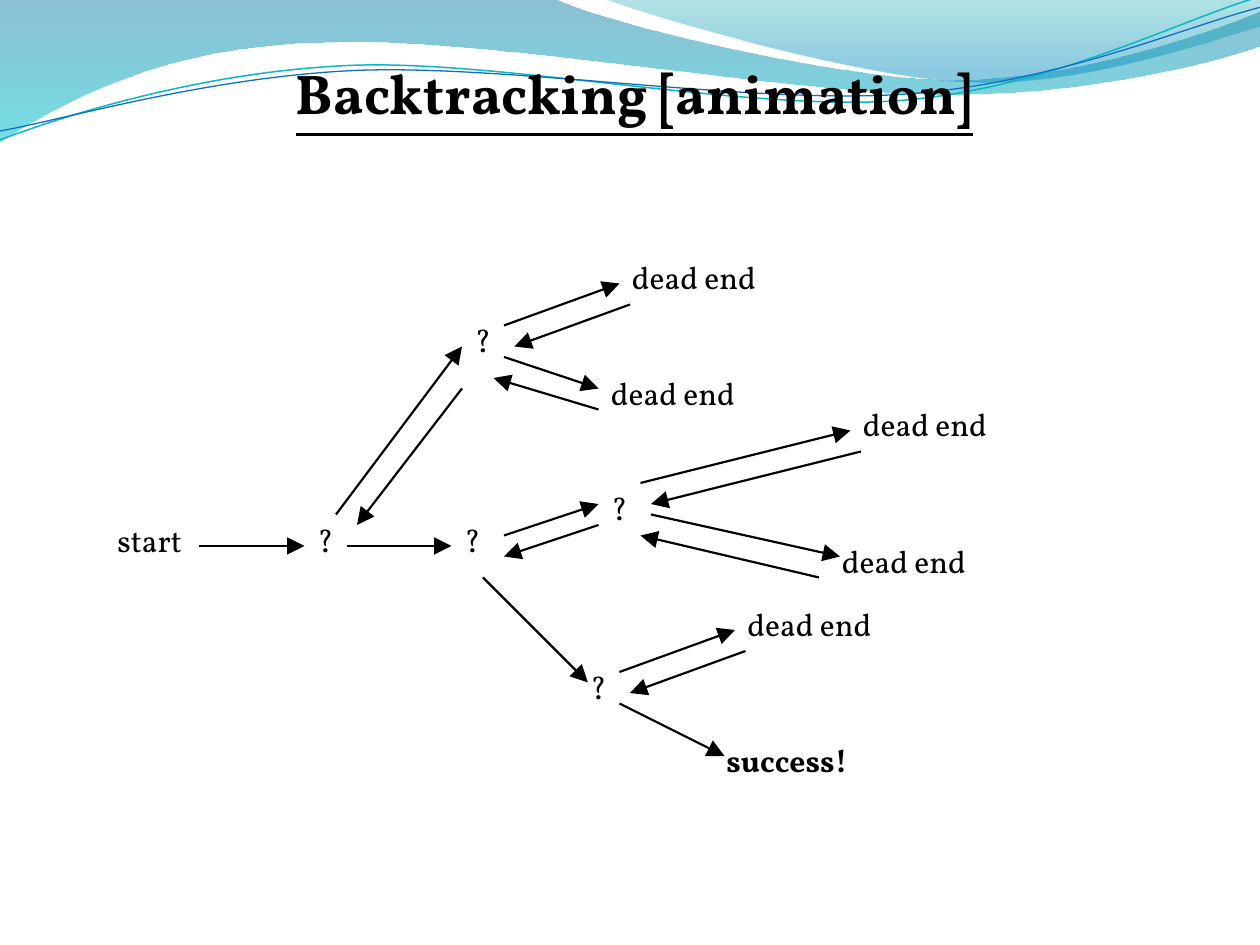
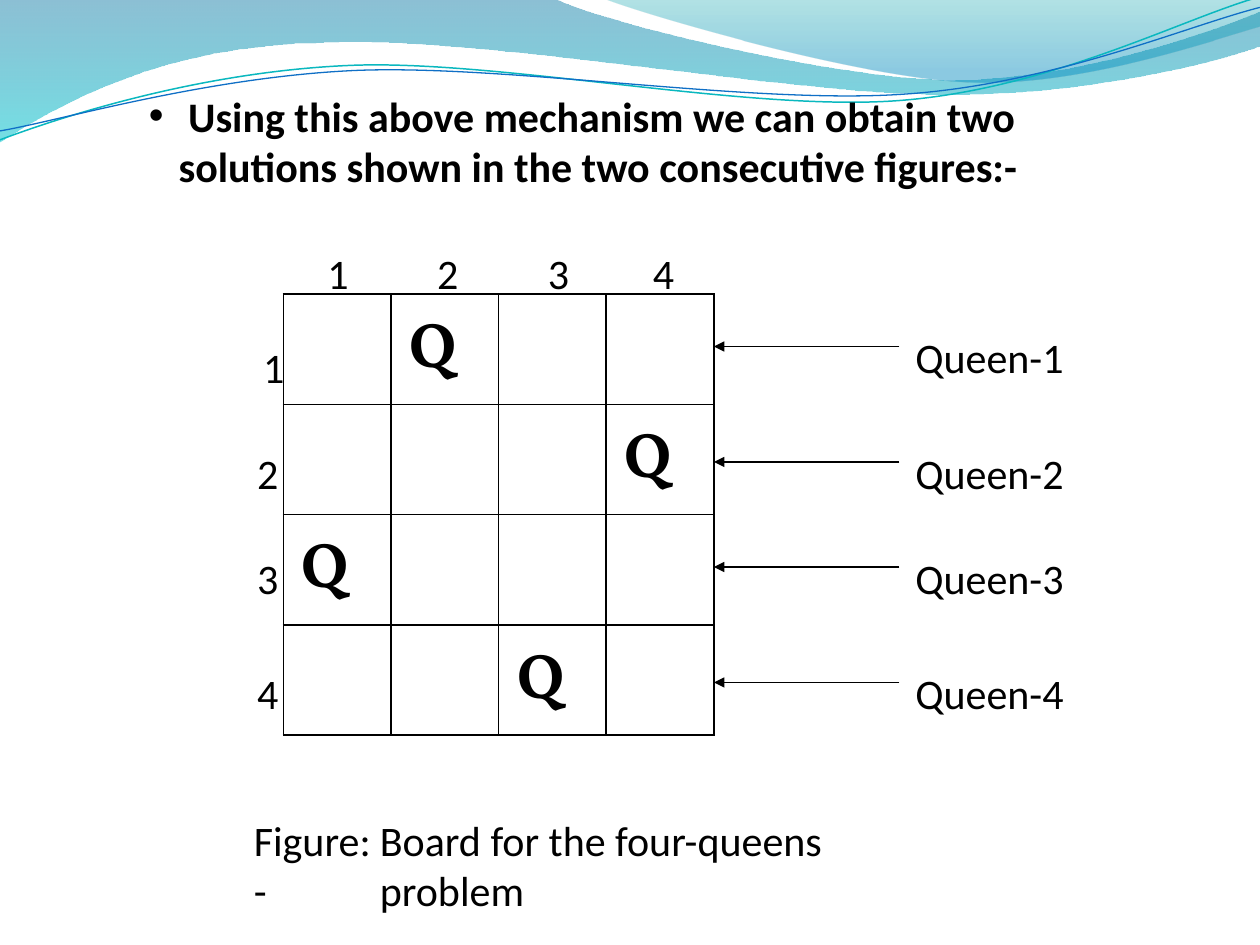
from lxml.etree import SubElement as Sub
from pptx import Presentation
from pptx.dml.color import RGBColor as Rgb
from pptx.enum.shapes import MSO_CONNECTOR as Link
from pptx.enum.text import MSO_AUTO_SIZE as Fit
from pptx.oxml.ns import qn
from pptx.util import Cm, Pt

HUES = {
    "ink": "000000", "deep": "0074A1", "aqua": "00C6CF", "sea": "00A1A9",
    "sky": "008BBF", "teal": "0AB8BF", "blue": "0F6FC6",
}
SERIF, SANS = "Vollkorn", "Calibri"
GRID = 2.54 / 12  # cm in one grid step

# Waves in cm: a start point, then lines (x, y) or curves (two handles, end)
FILLS = [
    {"start": (0, -0.03),
     "steps": [(11.18, -0.03),
               (12.09, 0.43, 16.87, 1.6, 19.25, 1.6),
               (21.67, 1.6, 24.33, 0.66, 25.4, 0.23),
               (25.43, 0.91),
               (24.97, 1.12, 22.1, 1.93, 18.95, 1.9),
               (15.8, 1.9, 9.7, 0.71, 6.53, 0.86),
               (3.28, 0.89, 1.17, 2.11, -0.03, 2.87)],
     "stops": [(0, "deep", 45), (1, "aqua", 55)]},
    {"start": (12.17, -0.03),
     "steps": [(12.93, 0.28, 17.32, 1.57, 19.53, 1.65),
               (21.74, 1.75, 24.41, 0.81, 25.4, 0.53),
               (25.4, 0)],
     "stops": [(0, "sea", 30), (0.8, "sky", 45)]},
]
LINES = [
    {"start": (0, 2.82),
     "steps": [(1.22, 2.36, 4.01, 1.45, 7.04, 1.32),
               (10.03, 1.19, 15.06, 2.26, 18.11, 2.03),
               (21.16, 1.8, 23.83, 0.38, 25.35, -0.05)],
     "hue": "teal", "width": 0.85},
    {"start": (0, 2.64),
     "steps": [(1.19, 2.44, 4.17, 1.55, 7.19, 1.42),
               (10.24, 1.3, 15.16, 2.11, 18.21, 1.9),
               (21.23, 1.7, 23.9, 0.53, 25.4, 0.15)],
     "hue": "blue", "width": 0.75},
]

# Search tree in grid steps
TITLE = "Backtracking [animation]"
FORKS = [(29, 49), (44, 30), (43, 49), (57, 46), (55, 63)]
ENDS = [(57, 35), (59, 24), (79, 51), (81, 38), (70, 57)]
MOVES = [
    (19, 52, 29, 52), (32, 49, 44, 33), (33, 52, 43, 52), (44, 37, 34, 50),
    (48, 31, 59, 27), (60, 29, 49, 33), (48, 34, 57, 37), (57, 39, 47, 36),
    (48, 51, 57, 48), (57, 50, 48, 53), (61, 46, 81, 41), (82, 43, 62, 48),
    (62, 49, 80, 53), (78, 55, 61, 51), (46, 55, 56, 65), (59, 64, 70, 60),
    (71, 62, 60, 66), (59, 67, 69, 72),
]

# Queens board, labels in grid steps
LEAD = (" Using this above mechanism we can obtain two solutions "
        "shown in the two consecutive figures:-")
QUEENS = [2, 4, 1, 3]  # column of the queen in each row
TOPS = [31, 42, 52, 63]
COLS = [30, 40.45, 51, 61]
ROWS = [(23.88, 31.9), (23.3, 42), (23.3, 52), (23.3, 63)]
NOTES = [("Figure:-", 23, 14.6), ("Board for the four-queens problem", 35, 58.3)]


def hue(name):
    return Rgb.from_string(HUES[name])


def step(num):
    return Cm(num * GRID)


def draw(slide, wave, close):
    """Draw the wave through all its points, then bend the curved steps."""
    pairs = [list(zip(move[::2], move[1::2])) for move in wave["steps"]]
    pen = slide.shapes.build_freeform(*map(Cm, wave["start"]), scale=1.0)
    pen.add_line_segments([(Cm(x), Cm(y)) for move in pairs for x, y in move],
                          close=close)
    shape = pen.convert_to_shape()
    shape.shadow.inherit = False
    lines = iter(list(shape._element.spPr.iter(qn("a:lnTo"))))
    for move in pairs:
        parts = [next(lines) for _ in move]
        if len(parts) == 1:
            continue
        curve = parts[0].makeelement(qn("a:cubicBezTo"), {})
        parts[0].addprevious(curve)
        for part in parts:
            curve.append(part[0])
            part.getparent().remove(part)
    return shape


def waves(slide):
    for wave in FILLS:
        shape = draw(slide, wave, True)
        shape.line.fill.background()
        shape.fill.gradient()
        shape.fill.gradient_angle = 270
        for stop, (place, name, _) in zip(shape.fill.gradient_stops, wave["stops"]):
            stop.position = place
            stop.color.rgb = hue(name)
        tints = shape._element.spPr.iter(qn("a:srgbClr"))
        for tint, (_, _, alpha) in zip(list(tints), wave["stops"]):
            Sub(tint, qn("a:alpha"), val=str(alpha * 1000))
    for wave in LINES:
        shape = draw(slide, wave, False)
        shape.fill.background()
        shape.line.color.rgb = hue(wave["hue"])
        shape.line.width = Pt(wave["width"])


def style(run, font, size, bold=False):
    run.font.name, run.font.size, run.font.bold = font, Pt(size), bold
    run.font.color.rgb = hue("ink")


def label(slide, text, x, y, w, h, font=SERIF, size=18, bold=False):
    """Add a text box placed in grid steps and return its paragraph."""
    frame = slide.shapes.add_textbox(step(x), step(y), step(w), step(h)).text_frame
    frame.word_wrap = True
    frame.auto_size = Fit.SHAPE_TO_FIT_TEXT
    frame.text = text
    para = frame.paragraphs[0]
    style(para.runs[0], font, size, bold)
    return para


def arrow(slide, ends, width, head="med"):
    link = slide.shapes.add_connector(Link.STRAIGHT, *map(step, ends))
    link.line.color.rgb = hue("ink")
    link.line.width = Pt(width)
    Sub(link.line._get_or_add_ln(), qn("a:tailEnd"), type="triangle", w=head, len=head)
    Sub(link._element.spPr, qn("a:effectLst"))


def border(cell):
    props = cell._tc.get_or_add_tcPr()
    for i, side in enumerate(("lnL", "lnR", "lnT", "lnB")):
        line = props.makeelement(qn("a:" + side), {"w": str(Pt(1))})
        fill = Sub(line, qn("a:solidFill"))
        Sub(fill, qn("a:srgbClr"), val=HUES["ink"])
        props.insert(i, line)


def board(slide):
    size = len(QUEENS)
    grid = slide.shapes.add_table(
        size, size, Cm(5.71), Cm(5.93), Cm(8.68), Cm(8.89)).table
    grid.first_row = grid.horz_banding = False
    for cell in grid.iter_cells():
        cell.fill.background()
        cell.margin_left = cell.margin_right = Cm(0.18)
        cell.margin_top = cell.margin_bottom = 0
        border(cell)
    for row, col in enumerate(QUEENS):
        para = grid.cell(row, col - 1).text_frame.paragraphs[0]
        para.line_spacing = 1.15
        for text, points in ((" ", 28), ("Q", 36)):
            run = para.add_run()
            run.text = text
            style(run, SERIF, points, True)


def tree(slide):
    title = label(slide, TITLE, 27, 5, 70, 9.4, size=32, bold=True)
    title.runs[0].font.underline = True
    for ends in MOVES:
        arrow(slide, ends, 1.25, "lg")
    label(slide, "start", 10, 49, 10, 4.8)
    for x, y in FORKS:
        label(slide, "?", x, y, 6, 4.8)
    for x, y in ENDS:
        label(slide, "dead end", x, y, 21, 4.8)
    label(slide, "success!", 68, 70, 21, 4.8, bold=True)


def queens(slide):
    board(slide)
    for num, (top, col, row) in enumerate(zip(TOPS, COLS, ROWS), 1):
        arrow(slide, (85.65, top + 2, 68, top + 2), 0.75)
        label(slide, f"Queen-{num}", 86, top, 16.7, 6.1, SANS, 24)
        for x, y in (row, (col, 23)):
            label(slide, str(num), x, y, 4.7, 6.1, SANS, 24)
    for text, x, wide in NOTES:
        label(slide, text, x, 76.95, wide, 6.1, SANS, 24)
    lead = label(slide, LEAD, 13, 8, 96, 10.9, SANS, 24, True)
    props = lead._p.get_or_add_pPr()
    props.set("marL", str(Cm(0.6)))
    props.set("indent", str(-Cm(0.6)))
    Sub(props, qn("a:buFont"), typeface="Arial")
    Sub(props, qn("a:buChar"), char="•")


def main():
    deck = Presentation()
    deck.slide_width, deck.slide_height = Cm(25.4), Cm(19.05)
    for fill in (tree, queens):
        slide = deck.slides.add_slide(deck.slide_layouts[6])
        waves(slide)
        fill(slide)
    deck.save("out.pptx")


if __name__ == "__main__":
    main()
